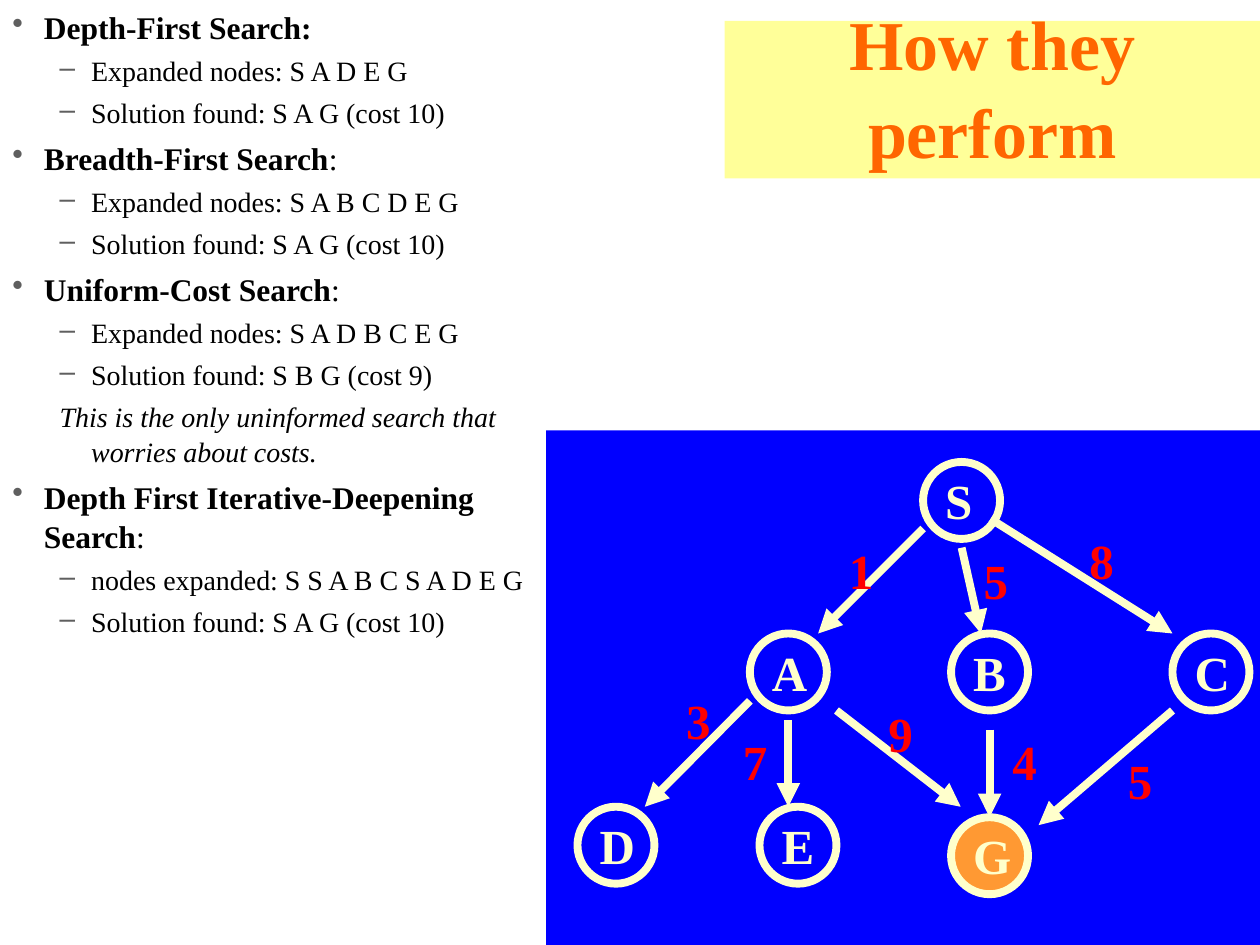
from lxml.etree import SubElement
from pptx import Presentation
from pptx.dml.color import RGBColor
from pptx.enum.shapes import MSO_CONNECTOR as Connector, MSO_SHAPE as Shape
from pptx.enum.text import MSO_ANCHOR as Anchor, PP_ALIGN as Align
from pptx.oxml.ns import qn
from pptx.util import Pt

BLACK = RGBColor(0x00, 0x00, 0x00)
GREY = RGBColor(0x5F, 0x5F, 0x5F)
BLUE = RGBColor(0x00, 0x00, 0xFF)
CREAM = RGBColor(0xFF, 0xFF, 0xCC)
YELLOW = RGBColor(0xFF, 0xFF, 0x99)
ORANGE = RGBColor(0xFF, 0x66, 0x00)
GOAL = RGBColor(0xFF, 0x99, 0x33)
RED = RGBColor(0xFF, 0x00, 0x00)


class SearchSlide:
    font = "Times New Roman"
    line_spacing = 1.04
    stroke = Pt(4.5)
    node_size = 44

    def __init__(self, slide):
        self.shapes = slide.shapes

    def style(self, run, size, color, bold=False, italic=False):
        font = run.font
        font.name, font.size = self.font, Pt(size)
        font.bold, font.italic = bold, italic
        font.color.rgb = color

    def panel(self, kind, x, y, width, height, fill=None, line=None):
        panel = self.shapes.add_shape(kind, Pt(x), Pt(y), Pt(width), Pt(height))
        panel.shadow.inherit = False
        if fill is None:
            panel.fill.background()
        else:
            panel.fill.solid()
            panel.fill.fore_color.rgb = fill
        if line is None:
            panel.line.fill.background()
        else:
            panel.line.color.rgb = line
            panel.line.width = self.stroke
        return panel

    def title(self, text, x, y, width, height):
        frame = self.panel(Shape.RECTANGLE, x, y, width, height, YELLOW).text_frame
        frame.word_wrap = True
        frame.vertical_anchor = Anchor.BOTTOM
        frame.text = text
        heading = frame.paragraphs[0]
        heading.alignment = Align.CENTER
        heading.line_spacing = self.line_spacing
        self.style(heading.runs[0], 40, ORANGE, bold=True)

    def label(self, text, x, y, color):
        box = self.shapes.add_textbox(Pt(x), Pt(y), Pt(28 if color == RED else 34), Pt(41))
        box.text_frame.word_wrap = False
        box.text_frame.text = text
        paragraph = box.text_frame.paragraphs[0]
        paragraph.line_spacing = self.line_spacing
        self.style(paragraph.runs[0], 28, color, bold=True)

    def node(self, name, x, y, fill=None):
        circle = self.panel(Shape.OVAL, x, y, self.node_size, self.node_size, fill, CREAM)
        self.label(name, x + 5.5, y, CREAM)
        return circle

    def arrow(self, x1, y1, x2, y2, target=None):
        edge = self.shapes.add_connector(Connector.STRAIGHT, Pt(x1), Pt(y1), Pt(x2), Pt(y2))
        if target is not None:
            edge.end_connect(target, 0)
        edge.line.color.rgb = CREAM
        edge.line.width = self.stroke
        SubElement(edge.line._get_or_add_ln(), qn("a:tailEnd"), type="triangle")
        SubElement(edge._element.spPr, qn("a:effectLst"))

    def bullet(self, paragraph, margin, mark):
        props = paragraph._p.get_or_add_pPr()
        props.set("marL", str(Pt(margin)))
        props.set("indent", str(Pt(-18)))
        if mark:
            color = SubElement(props, qn("a:buClr"))
            SubElement(color, qn("a:srgbClr"), val=str(GREY))
            SubElement(props, qn("a:buChar"), char=mark)
        else:
            SubElement(props, qn("a:buNone"))

    def outline(self, sections, x, y, width, height):
        frame = self.shapes.add_textbox(Pt(x), Pt(y), Pt(width), Pt(height)).text_frame
        frame.word_wrap = True
        paragraph = frame.paragraphs[0]
        for number, (heading, colon_bold, details, remark) in enumerate(sections):
            if number:
                paragraph = frame.add_paragraph()
                paragraph.space_before = Pt(4.5)
            paragraph.line_spacing = self.line_spacing
            self.bullet(paragraph, 18, "•")
            for text, bold in ((heading, True), (":", colon_bold)):
                run = paragraph.add_run()
                run.text = text
                self.style(run, 18, BLACK, bold=bold)
            lines = [(text, "–") for text in details]
            if remark:
                lines.append((remark, None))
            for text, mark in lines:
                paragraph = frame.add_paragraph()
                paragraph.text = text
                paragraph.level = 1
                paragraph.space_before = Pt(4)
                paragraph.line_spacing = self.line_spacing
                self.bullet(paragraph, 45, mark)
                self.style(paragraph.runs[0], 16, BLACK, italic=mark is None)


SECTIONS = [
    ("Depth-First Search", True,
     ["Expanded nodes: S A D E G", "Solution found: S A G (cost 10)"], None),
    ("Breadth-First Search", False,
     ["Expanded nodes: S A B C D E G", "Solution found: S A G (cost 10)"], None),
    ("Uniform-Cost Search", False,
     ["Expanded nodes: S A D B C E G", "Solution found: S B G (cost 9)"],
     "This is the only uninformed search that worries about costs."),
    ("Depth First Iterative-Deepening Search", False,
     ["nodes expanded: S S A B C S A D E G", "Solution found: S A G (cost 10)"], None),
]
NODES = [
    ("S", 527.5, 264), ("C", 670, 362), ("B", 543.5, 362), ("A", 428.5, 362),
    ("D", 330, 461), ("E", 434, 461),
]
EDGES = [
    (527.5, 302, 467.5, 362), (450.5, 411.5, 450.5, 461), (478, 406, 549, 461),
    (549.5, 313, 560.5, 362), (566, 296.5, 670, 362), (670, 406, 593.5, 471.5),
    (428.5, 400.5, 368.5, 461),
]
COSTS = [
    ("1", 478, 304), ("5", 555, 309.5), ("8", 615.5, 298.5), ("9", 500.5, 397),
    ("4", 571.5, 413), ("5", 637.5, 424), ("3", 385, 389.5), ("7", 417.5, 413),
]


def main():
    deck = Presentation()
    deck.slide_width, deck.slide_height = Pt(720), Pt(540)
    slide = SearchSlide(deck.slides.add_slide(deck.slide_layouts[6]))
    slide.title("How they perform", 414, 12, 306, 90)
    slide.outline(SECTIONS, 0, 0, 312, 456)
    slide.panel(Shape.RECTANGLE, 312, 246, 408, 294, BLUE)
    for name, x, y in NODES:
        slide.node(name, x, y)
    goal = slide.node("G", 543.5, 467, GOAL)
    for edge in EDGES:
        slide.arrow(*edge)
    slide.arrow(565.5, 417, 565.5, 467, goal)
    for cost, x, y in COSTS:
        slide.label(cost, x, y, RED)
    deck.save("out.pptx")


if __name__ == "__main__":
    main()
